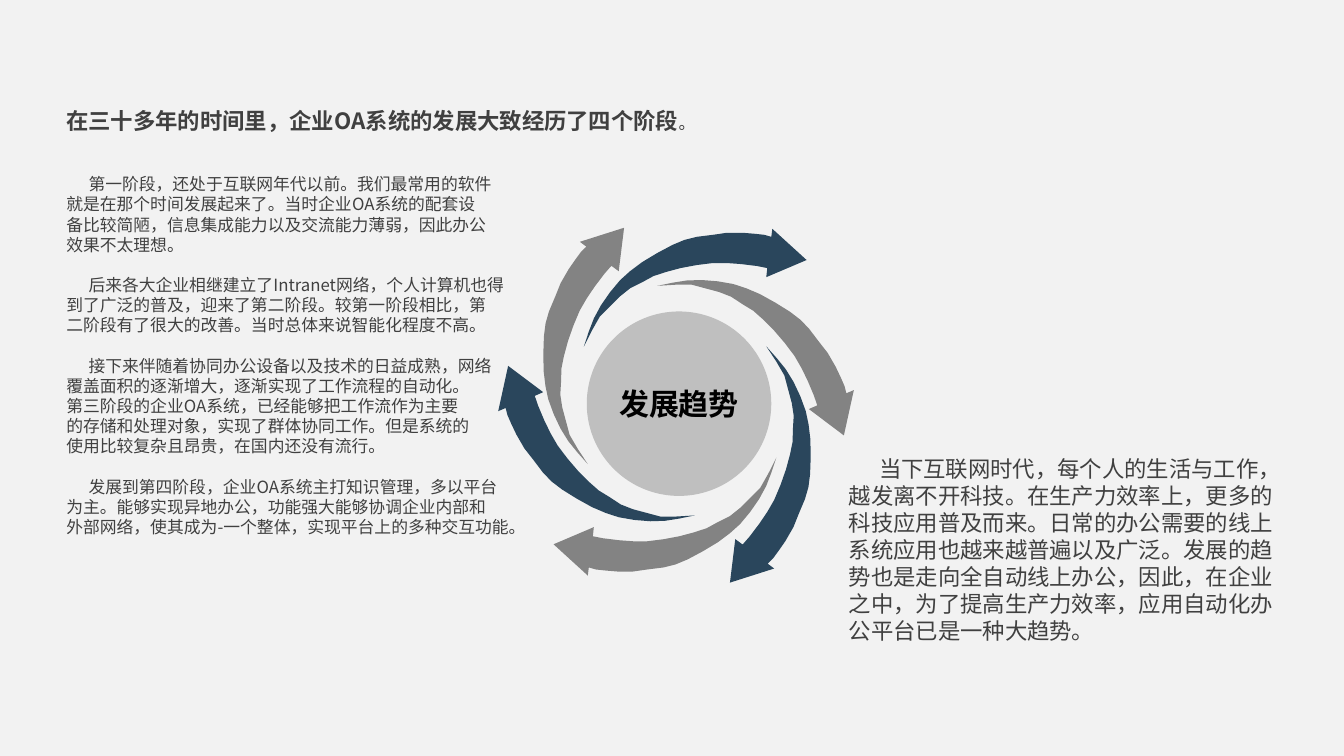
from math import cos, radians, sin

from lxml import etree
from pptx import Presentation
from pptx import util as u
from pptx.dml.color import RGBColor
from pptx.enum import shapes, text
from pptx.oxml import ns

BACKGROUND = RGBColor(0xF2, 0xF2, 0xF2)
GRAY = RGBColor(0x83, 0x83, 0x83)
NAVY = RGBColor(0x2A, 0x46, 0x5C)
HUB_GRAY = RGBColor(0xBF, 0xBF, 0xBF)
TEXT_GRAY = RGBColor(0x40, 0x40, 0x40)
BLACK = RGBColor(0, 0, 0)
FONT = "Noto Sans CJK SC"
LINE_RATIO = 1.2

TITLE = "在三十多年的时间里，企业OA系统的发展大致经历了四个阶段"
STAGES = [
    ["第一阶段，还处于互联网年代以前。我们最常用的软件",
     "就是在那个时间发展起来了。当时企业OA系统的配套设",
     "备比较简陋，信息集成能力以及交流能力薄弱，因此办公",
     "效果不太理想。"],
    ["后来各大企业相继建立了Intranet网络，个人计算机也得",
     "到了广泛的普及，迎来了第二阶段。较第一阶段相比，第",
     "二阶段有了很大的改善。当时总体来说智能化程度不高。"],
    ["接下来伴随着协同办公设备以及技术的日益成熟，网络",
     "覆盖面积的逐渐增大，逐渐实现了工作流程的自动化。",
     "第三阶段的企业OA系统，已经能够把工作流作为主要",
     "的存储和处理对象，实现了群体协同工作。但是系统的",
     "使用比较复杂且昂贵，在国内还没有流行。"],
    ["发展到第四阶段，企业OA系统主打知识管理，多以平台",
     "为主。能够实现异地办公，功能强大能够协调企业内部和",
     "外部网络，使其成为-一个整体，实现平台上的多种交互功能。"],
]
TREND = (
    "当下互联网时代，每个人的生活与工作，越发离不开科技。在生产力效率上，"
    "更多的科技应用普及而来。日常的办公需要的线上系统应用也越来越普遍以及广泛。"
    "发展的趋势也是走向全自动线上办公，因此，在企业之中，为了提高生产力效率，"
    "应用自动化办公平台已是一种大趋势。"
)

ARROW_OUTLINE = [
    (0, 0), (0.34, 0.31), (0.35, 0.23), (0.42, 0.25), (0.51, 0.26), (0.63, 0.27),
    (0.79, 0.27), (0.93, 0.25), (1.09, 0.23), (1.21, 0.2), (1.33, 0.15),
    (1.48, 0.07), (1.63, -0.02), (1.75, -0.11), (1.85, -0.2), (1.95, -0.32),
    (2.04, -0.45), (2.11, -0.58), (2.16, -0.71), (2.21, -0.86), (2.13, -0.7),
    (2.05, -0.56), (1.95, -0.46), (1.85, -0.36), (1.75, -0.28), (1.63, -0.22),
    (1.52, -0.16), (1.4, -0.12), (1.25, -0.08), (1.09, -0.05), (0.93, -0.03),
    (0.79, -0.03), (0.65, -0.04), (0.49, -0.06), (0.39, -0.08), (0.4, -0.17),
]
ARROW_TIPS = [(1.1, 3.14), (2.85, 3.52), (3.98, 2.06), (3.61, 0.32), (1.8, 0), (0.65, 1.37)]


def style_paragraph(paragraph, size, color, bold=False):
    font = paragraph.font
    font.name, font.size, font.bold = FONT, u.Pt(size), bold
    font.color.rgb = color
    latin = font._element.find(ns.qn("a:latin"))
    east_asian = etree.Element(ns.qn("a:ea"), typeface=FONT)
    latin.addnext(east_asian)


def set_body(paragraph, size, indent=0.0, space_before=0.0):
    style_paragraph(paragraph, size, TEXT_GRAY)
    paragraph.line_spacing = u.Pt(size * LINE_RATIO)
    paragraph.space_before = u.Pt(space_before)
    paragraph._p.get_or_add_pPr().set("indent", str(u.Inches(indent)))


def add_text_frame(slide, left, top, width, height):
    box = slide.shapes.add_textbox(*map(u.Inches, (left, top, width, height)))
    box.text_frame.word_wrap = True
    return box.text_frame


def paint(shape, color):
    shape.shadow.inherit = False
    shape.fill.solid()
    shape.fill.fore_color.rgb = color
    shape.line.fill.background()


def add_arrow(slide, tip_x, tip_y, angle, color):
    cosine, sine = cos(radians(angle)), sin(radians(angle))
    points = [
        (u.Inches(tip_x + x * cosine + y * sine), u.Inches(tip_y - x * sine + y * cosine))
        for x, y in ARROW_OUTLINE
    ]
    builder = slide.shapes.build_freeform(*points[0])
    builder.add_line_segments(points[1:], close=True)
    paint(builder.convert_to_shape(), color)


def add_wheel(slide, left, top):
    for index, (x, y) in enumerate(ARROW_TIPS):
        add_arrow(slide, left + x, top + y, 60 * index, NAVY if index % 2 else GRAY)
    hub = slide.shapes.add_shape(
        shapes.MSO_SHAPE.OVAL, u.Inches(left + 1.43), u.Inches(top + 0.83), u.Inches(1.83), u.Inches(1.83)
    )
    paint(hub, HUB_GRAY)
    frame = hub.text_frame
    frame.word_wrap = False
    frame.vertical_anchor = text.MSO_ANCHOR.MIDDLE
    paragraph = frame.paragraphs[0]
    paragraph.text = "发展趋势"
    paragraph.alignment = text.PP_ALIGN.CENTER
    style_paragraph(paragraph, 21.4, BLACK, bold=True)


def add_stages(slide, left, top, width, height):
    frame = add_text_frame(slide, left, top, width, height)
    heading = frame.paragraphs[0]
    set_body(heading, 16)
    title = heading.add_run()
    title.text = TITLE
    title.font.bold = True
    full_stop = heading.add_run()
    full_stop.text = "。"
    full_stop.font.size = u.Pt(12)
    for index, lines in enumerate(STAGES):
        paragraph = frame.add_paragraph()
        paragraph.text = "\v".join(lines)
        set_body(paragraph, 12, indent=0.22, space_before=14.4 if index else 28.8)


def add_trend(slide, left, top, width, height):
    paragraph = add_text_frame(slide, left, top, width, height).paragraphs[0]
    paragraph.text = TREND
    set_body(paragraph, 16, indent=0.3)


def main():
    presentation = Presentation()
    presentation.slide_width, presentation.slide_height = u.Inches(13.33), u.Inches(7.5)
    slide = presentation.slides.add_slide(presentation.slide_layouts[6])
    slide.background.fill.solid()
    slide.background.fill.fore_color.rgb = BACKGROUND
    add_wheel(slide, 4.39, 2.26)
    add_stages(slide, 0.56, 1.01, 6.6, 4.41)
    add_trend(slide, 8.32, 4.47, 4.53, 1.98)
    presentation.save("out.pptx")


if __name__ == "__main__":
    main()
